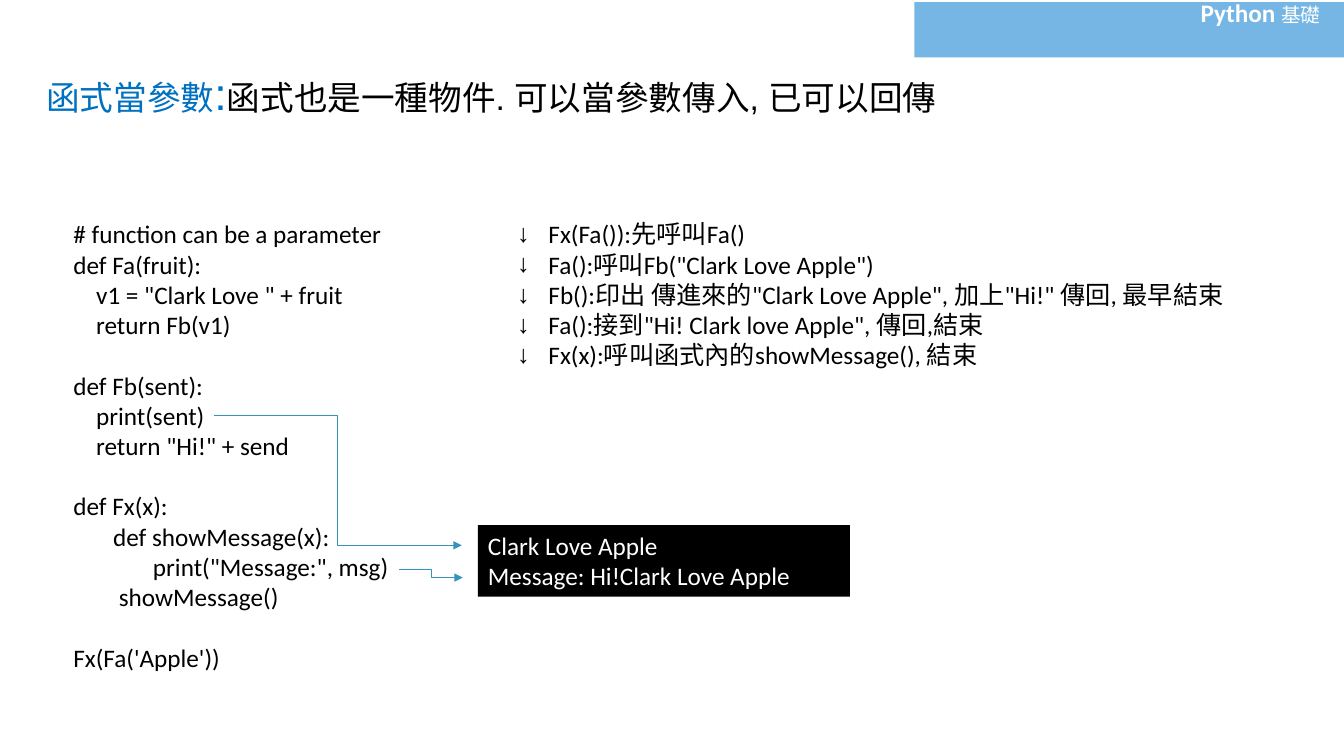
from dataclasses import dataclass

from lxml.etree import SubElement
from pptx import Presentation
from pptx.dml.color import RGBColor
from pptx.enum.shapes import MSO_CONNECTOR as Link, MSO_SHAPE as Shape
from pptx.enum.text import MSO_ANCHOR as Anchor, MSO_AUTO_SIZE as Fit, PP_ALIGN as Align
from pptx.oxml.ns import qn
from pptx.util import Pt

PX = 9144  # 100 px to the inch
BLACK = RGBColor(0x00, 0x00, 0x00)
WHITE = RGBColor(0xFF, 0xFF, 0xFF)
SKY = RGBColor(0x75, 0xB6, 0xE5)
BLUE = RGBColor(0x00, 0x70, 0xC0)
TEAL = RGBColor(0x34, 0x94, 0xBA)


@dataclass(frozen=True)
class Box:
    left: int
    top: int
    width: int
    height: int

    def emu(self) -> tuple[int, ...]:
        return tuple(n * PX for n in (self.left, self.top, self.width, self.height))


@dataclass(frozen=True)
class Run:
    text: str
    size: int = 18
    color: RGBColor = BLACK
    bold: bool = False


@dataclass(frozen=True)
class Arrow:
    x1: int
    y1: int
    x2: int
    y2: int


CODE = '''# function can be a parameter
def Fa(fruit):
    v1 = "Clark Love " + fruit
    return Fb(v1)

def Fb(sent):
    print(sent)
    return "Hi!" + send

def Fx(x):
       def showMessage(x):
              print("Message:", msg)
        showMessage()

Fx(Fa('Apple'))'''

STEPS = [
    'Fx(Fa()):先呼叫Fa()',
    'Fa():呼叫Fb("Clark Love Apple")',
    'Fb():印出 傳進來的"Clark Love Apple", 加上"Hi!" 傳回, 最早結束',
    'Fa():接到"Hi! Clark love Apple", 傳回,結束',
    'Fx(x):呼叫函式內的showMessage(), 結束',
]
OUTPUT = ["Clark Love Apple", "Message: Hi!Clark Love Apple"]
TITLE = [
    Run("函式當參數", 24, BLUE),
    Run(":", 32, BLUE),
    Run("函式也是一種物件. 可以當參數傳入, 已可以回傳", 24),
]
HEADER = [Run("Python ", 18, WHITE, True), Run("基礎", 14, WHITE)]
ARROWS = [Arrow(212, 412, 458, 541), Arrow(396, 565, 459, 573)]


def place(shape, box: Box) -> None:
    shape.left, shape.top, shape.width, shape.height = box.emu()


def write(shape, lines: list[list[Run]], *, font: str = "Calibri",
          bullet: str = "", indent: int = 0) -> None:
    """Fill a shape with one paragraph per list of runs."""
    frame = shape.text_frame
    frame.word_wrap = True
    frame.auto_size = Fit.NONE
    frame.vertical_anchor = Anchor.TOP
    for i, runs in enumerate(lines):
        para = frame.add_paragraph() if i else frame.paragraphs[0]
        para.alignment = Align.LEFT
        para.space_before = Pt(0)
        if bullet:
            props = para._p.get_or_add_pPr()
            props.set("marL", str(indent * PX))
            props.set("indent", str(-indent * PX))
            SubElement(props, qn("a:buChar")).set("char", bullet)
        para.font.size = Pt(runs[0].size)
        for item in runs:
            run = para.add_run()
            run.text = item.text
            run.font.name = font
            run.font.size = Pt(item.size)
            run.font.bold = item.bold
            run.font.color.rgb = item.color


def block(slide, box: Box, color: RGBColor):
    shape = slide.shapes.add_shape(Shape.RECTANGLE, *box.emu())
    shape.shadow.inherit = False
    shape.fill.solid()
    shape.fill.fore_color.rgb = color
    shape.line.fill.background()
    return shape


def link(slide, arrow: Arrow) -> None:
    ends = (n * PX for n in (arrow.x1, arrow.y1, arrow.x2, arrow.y2))
    line = slide.shapes.add_connector(Link.ELBOW, *ends)
    line.line.color.rgb = TEAL
    line.line.width = Pt(0.5)
    SubElement(line.line._get_or_add_ln(), qn("a:tailEnd")).set("type", "triangle")
    SubElement(line._element.spPr, qn("a:effectLst"))


def main() -> None:
    deck = Presentation()
    deck.slide_width, deck.slide_height = 1333 * PX, 750 * PX
    slide = deck.slides.add_slide(deck.slide_layouts[1])
    title, steps = slide.placeholders

    block(slide, Box(907, 2, 427, 55), SKY)
    header = slide.shapes.add_textbox(*Box(1181, -8, 140, 40).emu())
    write(header, [HEADER])

    place(title, Box(36, 60, 907, 64))
    write(title, [TITLE], font="Arial")

    code = slide.shapes.add_textbox(*Box(63, 212, 667, 464).emu())
    write(code, [[Run(text)] for text in CODE.split("\n")])

    place(steps, Box(503, 212, 729, 162))
    write(steps, [[Run(text)] for text in STEPS], bullet="↓", indent=31)

    screen = block(slide, Box(474, 521, 369, 71), BLACK)
    write(screen, [[Run(text, color=WHITE)] for text in OUTPUT])

    for arrow in ARROWS:
        link(slide, arrow)
    deck.save("out.pptx")


if __name__ == "__main__":
    main()
